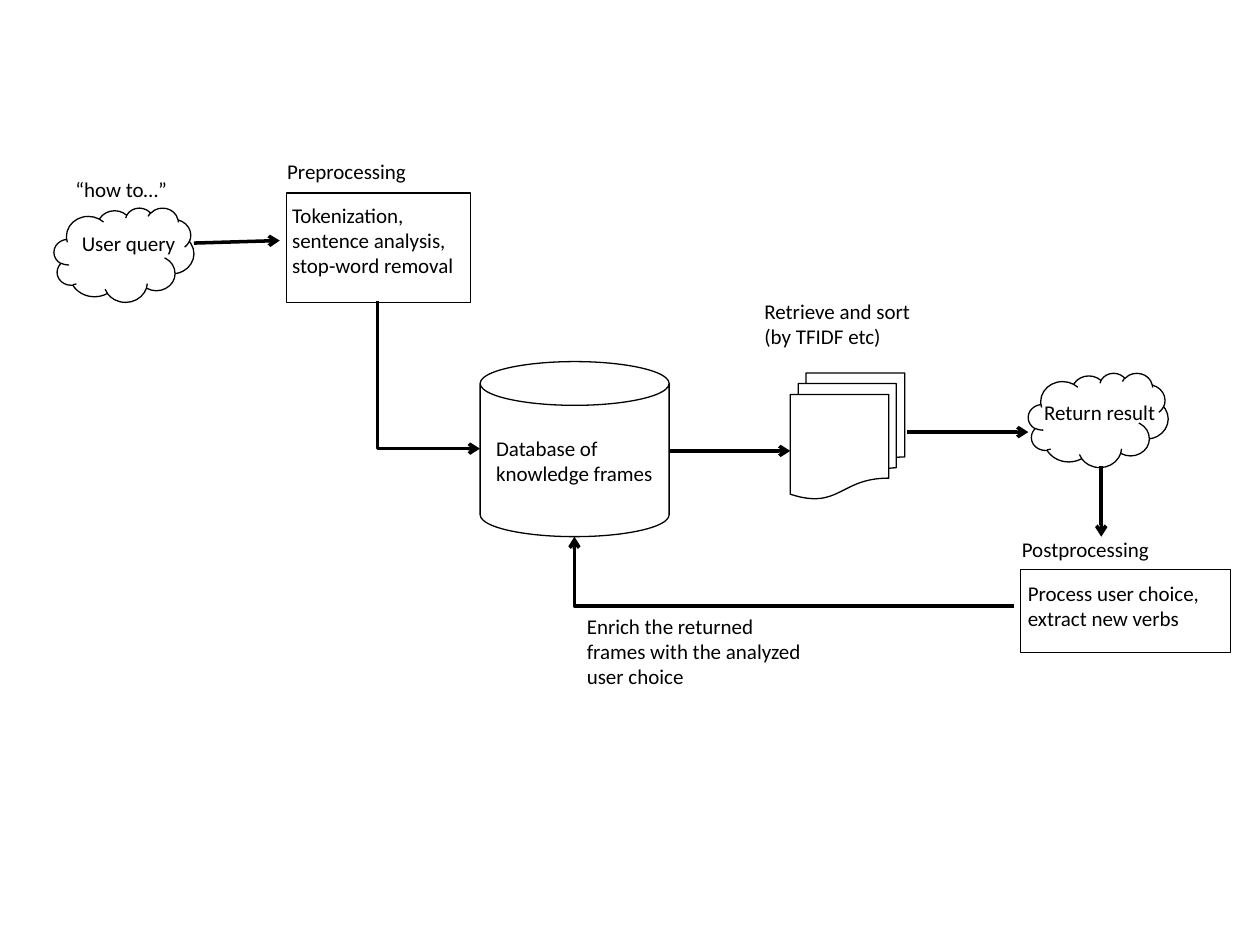
from dataclasses import dataclass

from lxml.etree import SubElement
from pptx import Presentation
from pptx.dml.color import RGBColor
from pptx.enum.shapes import MSO_CONNECTOR, MSO_SHAPE
from pptx.enum.text import MSO_AUTO_SIZE, PP_ALIGN
from pptx.oxml.ns import qn
from pptx.util import Cm, Pt


@dataclass(frozen=True)
class Theme:
    ink: RGBColor = RGBColor(0, 0, 0)
    font: str = "Calibri"
    text_size: Pt = Pt(12)
    outline: Pt = Pt(0.75)
    flow: Pt = Pt(2)
    text_padding: float = 0.25
    line_height: float = 0.52


THEME = Theme()


# All lengths below are centimetres
@dataclass(frozen=True)
class Node:
    kind: MSO_SHAPE
    left: float
    top: float
    width: float
    height: float


@dataclass(frozen=True)
class Label:
    left: float
    top: float
    width: float
    lines: tuple[str, ...]


@dataclass(frozen=True)
class Flow:
    start: tuple[float, float]
    end: tuple[float, float]


@dataclass(frozen=True)
class CornerFlow:
    left: float
    top: float
    width: float
    height: float
    rotation: int
    mirrored: bool = False


CLOUD_SIZE = (2.82, 1.9)

NODES = [
    Node(MSO_SHAPE.CLOUD, 1.09, 4.19, *CLOUD_SIZE),
    Node(MSO_SHAPE.RECTANGLE, 5.77, 3.89, 3.71, 2.21),
    Node(MSO_SHAPE.CAN, 9.68, 7.29, 3.81, 3.53),
    Node(MSO_SHAPE.FLOWCHART_MULTIDOCUMENT, 15.93, 7.52, 2.31, 2.54),
    Node(MSO_SHAPE.CLOUD, 20.73, 7.52, *CLOUD_SIZE),
    Node(MSO_SHAPE.RECTANGLE, 20.57, 11.48, 4.24, 1.68),
]

LABELS = [
    Label(1.4, 4.52, 2.44, ("User query",)),
    Label(1.27, 3.43, 2.39, ("“how to…”",)),
    Label(5.54, 3.07, 2.95, ("Preprocessing",)),
    Label(5.64, 3.96, 3.84,
          ("Tokenization,", "sentence analysis,", "stop-word removal")),
    Label(9.75, 8.66, 3.71, ("Database of", "knowledge frames")),
    Label(15.16, 5.89, 3.51, ("Retrieve and sort", "(by TFIDF etc)")),
    Label(20.8, 7.92, 2.79, ("Return result",)),
    Label(20.35, 10.69, 3.12, ("Postprocessing",)),
    Label(20.47, 11.58, 4.01, ("Process user choice,", "extract new verbs")),
    Label(11.58, 12.24, 4.9,
          ("Enrich the returned", "frames with the analyzed", "user choice")),
]

FLOWS = [
    Flow((3.91, 4.9), (5.64, 4.85)),      # query to preprocessing
    Flow((13.49, 9.09), (15.93, 9.09)),   # database to documents
    Flow((18.29, 8.71), (20.73, 8.71)),   # documents to result
    Flow((22.2, 9.4), (22.2, 10.82)),     # result to postprocessing
]

CORNER_FLOWS = [
    CornerFlow(7.16, 6.53, 2.97, 2.06, 270, mirrored=True),  # preprocessing to database
    CornerFlow(11.58, 10.82, 8.86, 1.4, 180),                # postprocessing to database
]


def draw_node(slide, node: Node) -> None:
    outline = slide.shapes.add_shape(
        node.kind, Cm(node.left), Cm(node.top), Cm(node.width), Cm(node.height))
    outline.shadow.inherit = False
    outline.fill.background()
    outline.line.color.rgb = THEME.ink
    outline.line.width = THEME.outline


def draw_label(slide, label: Label) -> None:
    height = THEME.text_padding + THEME.line_height * len(label.lines)
    box = slide.shapes.add_textbox(
        Cm(label.left), Cm(label.top), Cm(label.width), Cm(height))
    frame = box.text_frame
    frame.word_wrap = False
    frame.auto_size = MSO_AUTO_SIZE.SHAPE_TO_FIT_TEXT
    frame.text = "\n".join(label.lines)
    for paragraph in frame.paragraphs:
        paragraph.alignment = PP_ALIGN.LEFT
        paragraph.font.name = THEME.font
        paragraph.font.size = THEME.text_size
        paragraph.font.color.rgb = THEME.ink


def draw_arrow(slide, kind: MSO_CONNECTOR, start: tuple[float, float],
               end: tuple[float, float]):
    arrow = slide.shapes.add_connector(
        kind, Cm(start[0]), Cm(start[1]), Cm(end[0]), Cm(end[1]))
    arrow.line.color.rgb = THEME.ink
    arrow.line.width = THEME.flow
    SubElement(arrow.line._get_or_add_ln(), qn("a:tailEnd"), type="arrow")
    SubElement(arrow._element.spPr, qn("a:effectLst"))
    return arrow


def draw_flow(slide, flow: Flow) -> None:
    draw_arrow(slide, MSO_CONNECTOR.STRAIGHT, flow.start, flow.end)


def draw_corner_flow(slide, flow: CornerFlow) -> None:
    arrow = draw_arrow(slide, MSO_CONNECTOR.ELBOW, (flow.left, flow.top),
                       (flow.left + flow.width, flow.top + flow.height))
    # A single-corner connector, turned into place
    properties = arrow._element.spPr
    properties.find(qn("a:prstGeom")).set("prst", "bentConnector2")
    transform = properties.find(qn("a:xfrm"))
    transform.set("rot", str(flow.rotation * 60000))
    if flow.mirrored:
        transform.set("flipH", "1")


def main() -> None:
    deck = Presentation()
    deck.slide_width, deck.slide_height = Cm(25.4), Cm(19.05)
    slide = deck.slides.add_slide(deck.slide_layouts[6])

    # Stages, then their wording, then the flow between them
    for node in NODES:
        draw_node(slide, node)
    for label in LABELS:
        draw_label(slide, label)
    for flow in FLOWS:
        draw_flow(slide, flow)
    for flow in CORNER_FLOWS:
        draw_corner_flow(slide, flow)

    deck.save("out.pptx")


if __name__ == "__main__":
    main()
